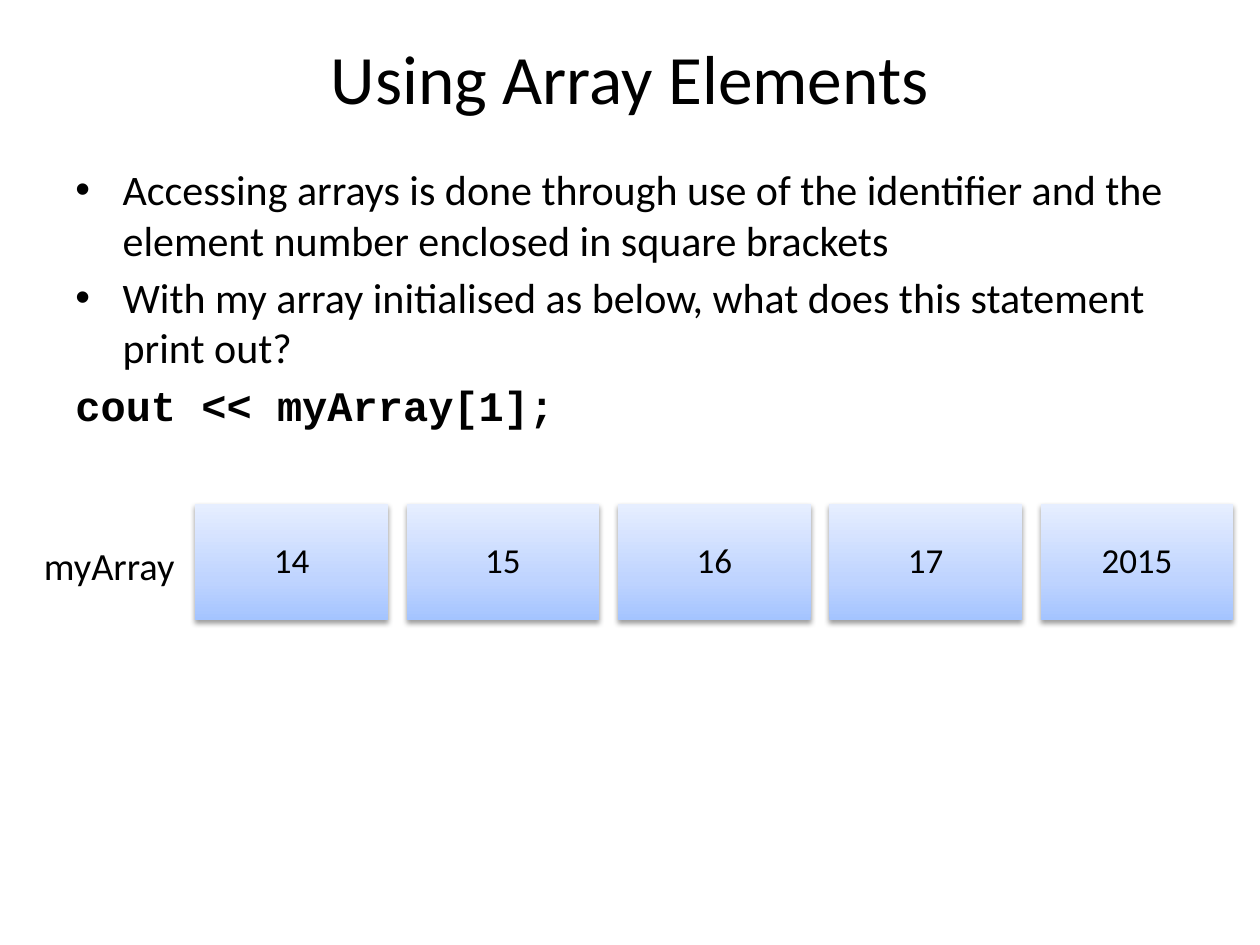
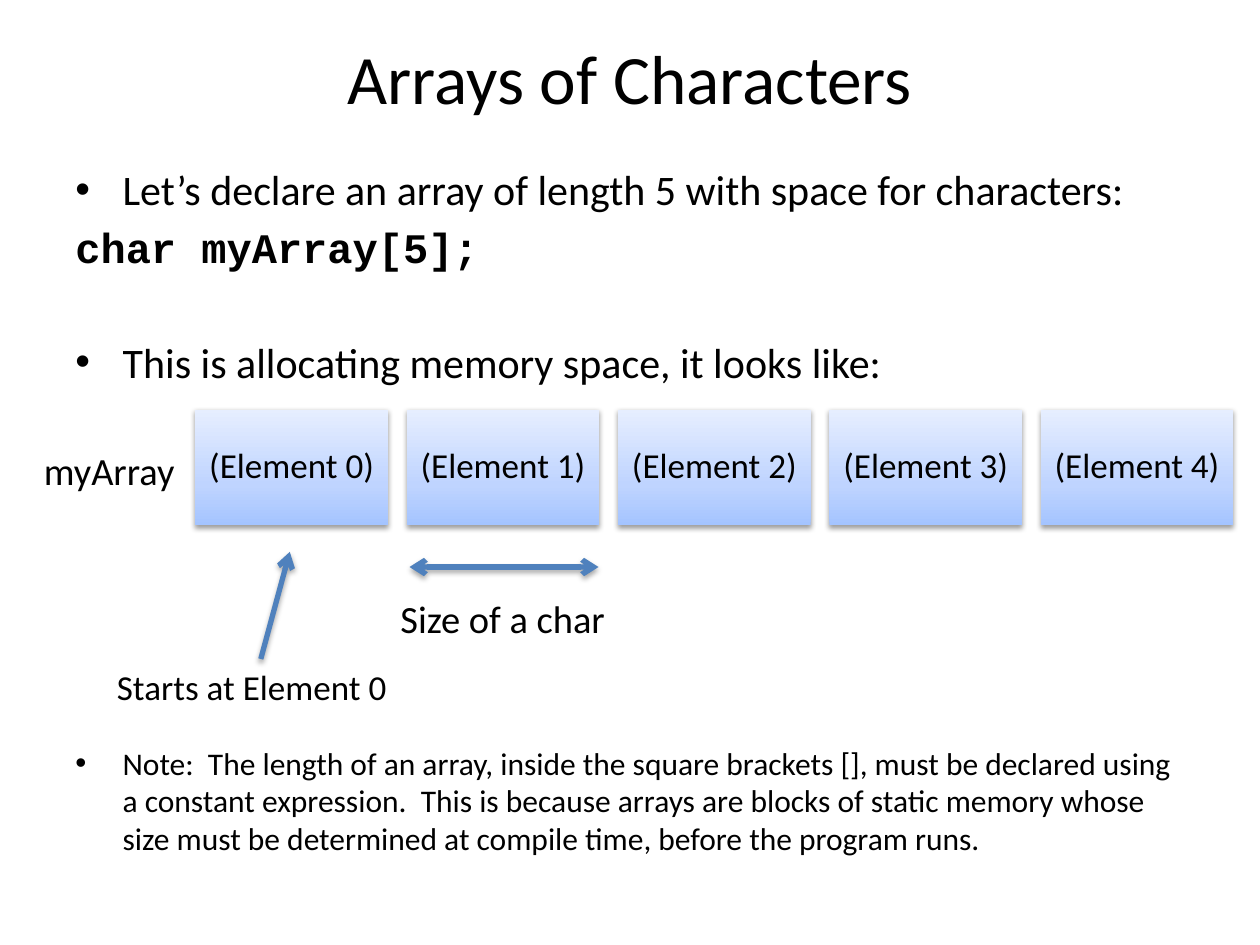
"""Build two slides on arrays: element access and memory layout."""
import dataclasses
import lxml.etree
import pptx
import pptx.dml.color
import pptx.enum.shapes
import pptx.enum.text
import pptx.oxml.ns
import pptx.util

qn = pptx.oxml.ns.qn
Pt = pptx.util.Pt
Align = pptx.enum.text.PP_ALIGN
Anchor = pptx.enum.text.MSO_ANCHOR


@dataclasses.dataclass(frozen=True)
class Theme:
    """Shared colours, fonts, type sizes and the unit of the grid."""
    font: str = "Calibri"
    code: str = "Courier New"
    ink: str = "000000"
    arrow: str = "4F81BD"
    ramp: tuple = ((0, "A4C4FF"), (35, "BFD4FF"), (100, "E6EEFF"))
    title: float = 39.6
    body: float = 24
    label: float = 22
    cell: float = 20
    note: float = 18
    gap: float = 4
    indent: float = 27
    unit: int = pptx.util.Inches(0.25)


THEME = Theme()
COLS, ROWS = 40, 30


def grid(*spans):
    """Turn columns and rows into lengths."""
    return [round(span * THEME.unit) for span in spans]


def child(node, tag, **attrs):
    """Append an XML element with attributes."""
    item = lxml.etree.SubElement(node, qn(tag))
    for key, value in attrs.items():
        item.set(key, str(value))
    return item


def style(para, size, font=THEME.font, bold=False):
    """Format all runs of a paragraph."""
    for run in para.runs:
        run.font.name, run.font.size, run.font.bold = font, Pt(size), bold
        run.font.color.rgb = pptx.dml.color.RGBColor.from_string(THEME.ink)


def shade(props, alpha, dist):
    """Give an element a soft shadow that falls downwards."""
    list_ = props.find(qn("a:effectLst"))
    if list_ is None:
        list_ = child(props, "a:effectLst")
    cast = child(list_, "a:outerShdw", blurRad=Pt(3.1), dist=Pt(dist),
                 dir=90 * 60000, rotWithShape=0)
    tint = child(cast, "a:srgbClr", val=THEME.ink)
    child(tint, "a:alpha", val=alpha * 1000)


def title(slide, text):
    """Add the centred slide title."""
    frame = slide.shapes.add_textbox(*grid(2, 1.2, 36, 2.48)).text_frame
    frame.word_wrap = True
    frame.vertical_anchor = Anchor.MIDDLE
    frame.text = text
    frame.paragraphs[0].alignment = Align.CENTER
    style(frame.paragraphs[0], THEME.title)


def bullet(para):
    """Give a paragraph a hanging bullet."""
    props = para._p.get_or_add_pPr()
    props.set("marL", str(Pt(THEME.indent)))
    props.set("indent", str(-Pt(THEME.indent)))
    child(props, "a:buFont", typeface="Arial")
    child(props, "a:buChar", char="•")


def body(slide, items):
    """Add body text from (kind, text, space before) items."""
    frame = slide.shapes.add_textbox(*grid(2, 5, 36, 23.8)).text_frame
    frame.word_wrap = True
    for place, (kind, text, space) in enumerate(items):
        para = frame.add_paragraph() if place else frame.paragraphs[0]
        para.text = text
        para.space_before = Pt(space)
        if kind == "code":
            style(para, THEME.body, THEME.code, True)
        else:
            bullet(para)
            style(para, THEME.note if kind == "note" else THEME.body)


def label(slide, text, size, *spans):
    """Add a one-line label that fits its text."""
    frame = slide.shapes.add_textbox(*grid(*spans)).text_frame
    frame.word_wrap = False
    frame.auto_size = pptx.enum.text.MSO_AUTO_SIZE.SHAPE_TO_FIT_TEXT
    frame.text = text
    style(frame.paragraphs[0], size)


def cell(group, text, col, row):
    """Add one shaded array cell."""
    box = group.shapes.add_shape(pptx.enum.shapes.MSO_SHAPE.RECTANGLE,
                                 *grid(col, row, 6.12, 3.68))
    box.shadow.inherit = False
    box.line.fill.background()
    box.fill.gradient()
    box.fill.gradient_angle = 90
    stops = box._element.spPr.find(qn("a:gradFill")).find(qn("a:gsLst"))
    for stop in list(stops):
        stops.remove(stop)
    for share, tint in THEME.ramp:
        stop = child(stops, "a:gs", pos=share * 1000)
        child(stop, "a:srgbClr", val=tint)
    shade(box._element.spPr, 38, 1.6)
    frame = box.text_frame
    frame.word_wrap = True
    frame.vertical_anchor = Anchor.MIDDLE
    frame.margin_left = frame.margin_right = pptx.util.Inches(0.08)
    frame.margin_top = frame.margin_bottom = pptx.util.Inches(0.08)
    frame.text = text
    para = frame.paragraphs[0]
    para.alignment, para.line_spacing = Align.CENTER, 0.9
    style(para, THEME.cell)


def array(slide, values, row):
    """Add a named row of array cells."""
    group = slide.shapes.add_group_shape()
    for place, value in enumerate(values):
        cell(group, value, 6.2 + 6.71 * place, row)
    label(slide, "myArray", THEME.label, 1, row + 1, 5.12, 1.88)


def arrow(slide, *ends, both=False):
    """Add an arrow between two grid points."""
    line = slide.shapes.add_connector(
        pptx.enum.shapes.MSO_CONNECTOR.STRAIGHT, *grid(*ends))
    line.line.width = Pt(3)
    line.line.color.rgb = pptx.dml.color.RGBColor.from_string(THEME.arrow)
    edge = line.line._get_or_add_ln()
    for tag in ("a:headEnd", "a:tailEnd") if both else ("a:tailEnd",):
        child(edge, tag, type="arrow")
    shade(line._element.spPr, 35, 1.8)


def access(slide):
    """Fill the slide on using elements."""
    title(slide, "Using Array Elements")
    array(slide, ("14", "15", "16", "17", "2015"), 16)
    body(slide, (
        ("point", "Accessing arrays is done through use of the identifier "
         "and the element number enclosed in square brackets", 0),
        ("point", "With my array initialised as below, what does this "
         "statement print out?", THEME.gap),
        ("code", "cout << myArray[1];", THEME.gap)))


def layout(slide):
    """Fill the slide on arrays of characters."""
    title(slide, "Arrays of Characters")
    array(slide, [f"(Element {place})" for place in range(5)], 13)
    body(slide, (
        ("point", "Let’s declare an array of length 5 with space for "
         "characters:", 0),
        ("code", "char myArray[5];", THEME.gap),
        ("point", "This is allocating memory space, it looks like:", 37),
        ("note", "Note:  The length of an array, inside the square brackets "
         "[], must be declared using a constant expression.  This is because "
         "arrays are blocks of static memory whose size must be determined "
         "at compile time, before the program runs.", 204)))
    arrow(slide, 13, 18, 19, 18, both=True)
    label(slide, "Size of a char", THEME.label, 12.32, 18.68, 7.32, 1.88)
    label(slide, "Starts at Element 0", THEME.cell, 3.32, 20.92, 9.88, 1.76)
    arrow(slide, 8.28, 20.92, 9.2, 17.52)


def main():
    """Build and save the slides."""
    deck = pptx.Presentation()
    deck.slide_width, deck.slide_height = grid(COLS, ROWS)
    for fill in (access, layout):
        fill(deck.slides.add_slide(deck.slide_layouts[6]))
    deck.save("out.pptx")


main()
